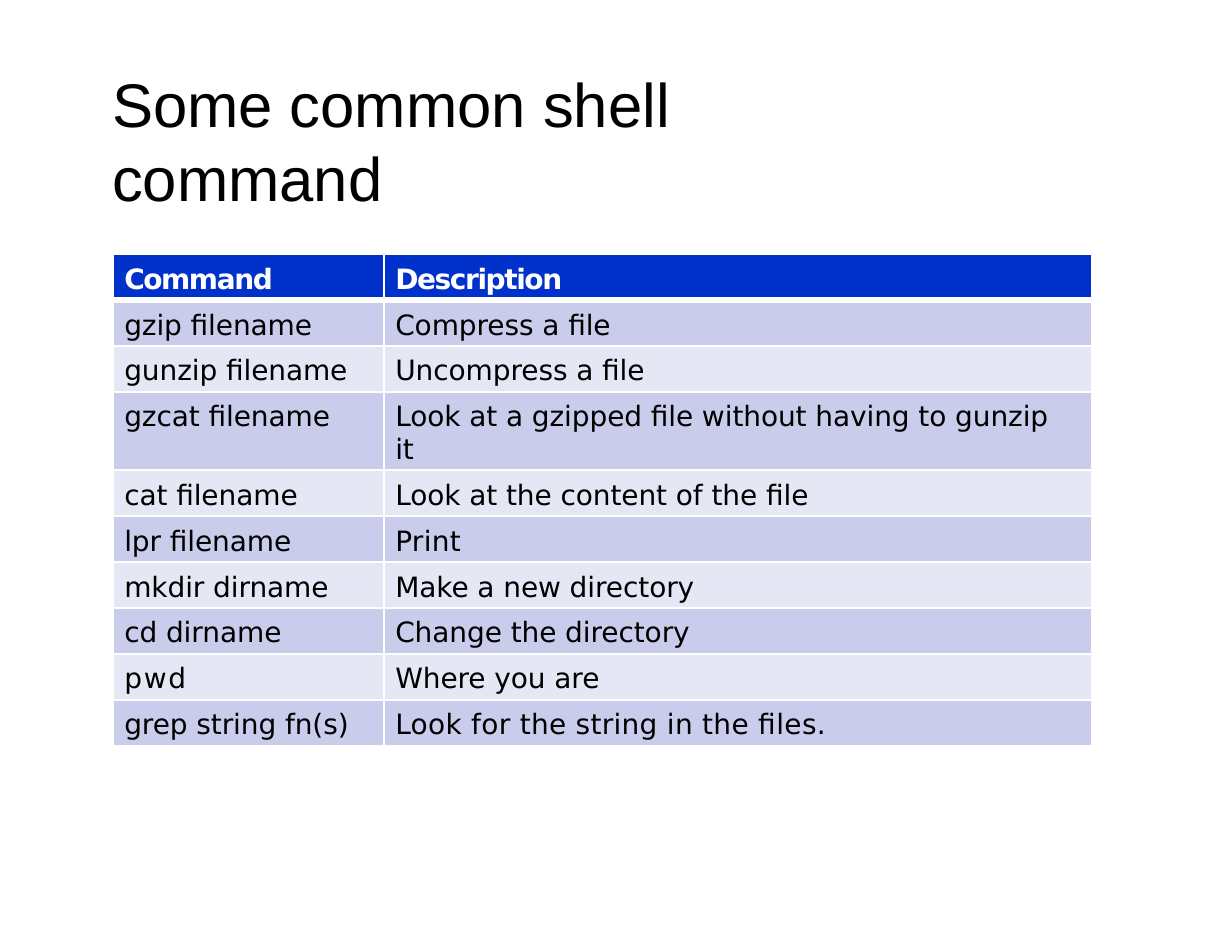
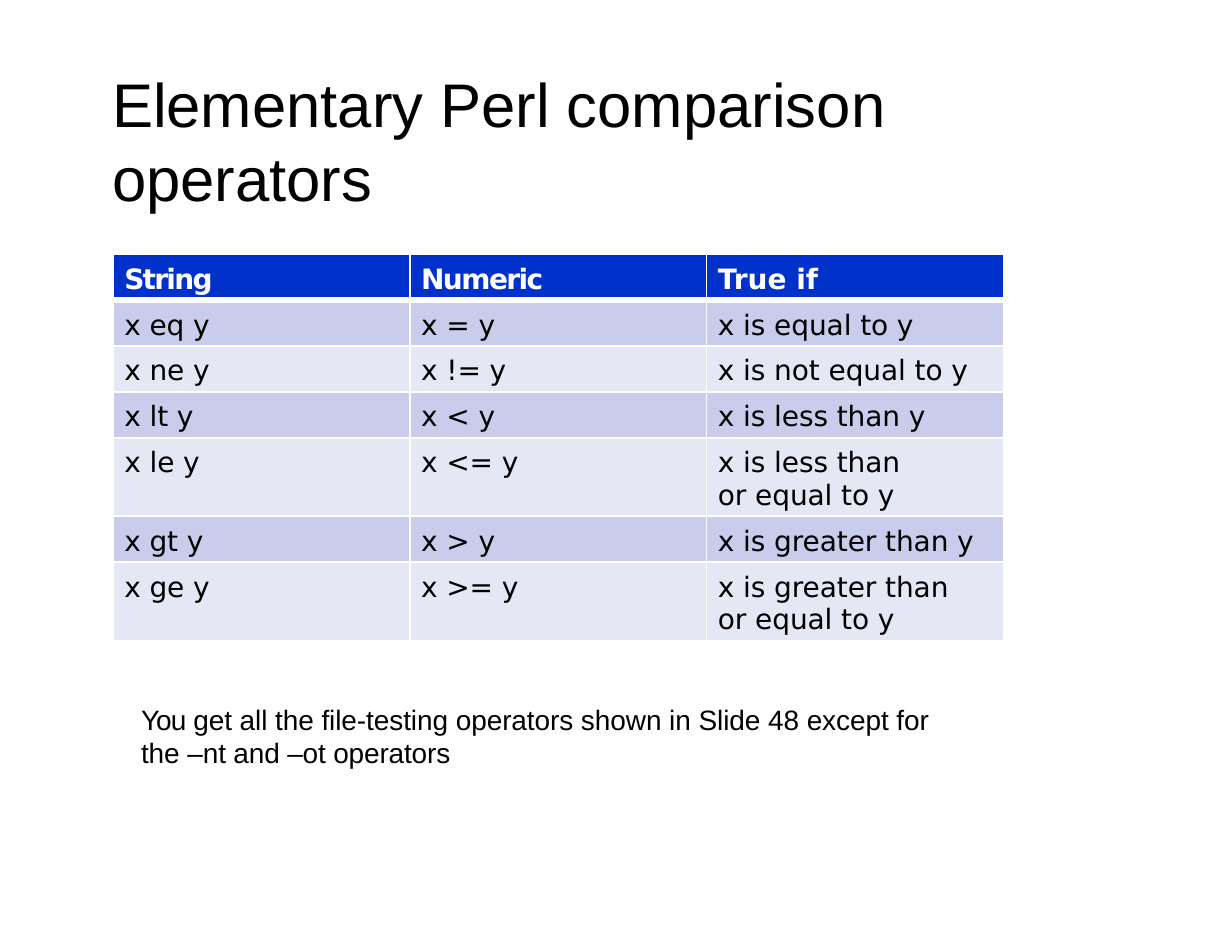
from lxml import etree
from pptx import Presentation
from pptx.dml.color import RGBColor
from pptx.enum.text import MSO_ANCHOR, MSO_AUTO_SIZE
from pptx.oxml.ns import qn
from pptx.util import Inches, Pt

BLACK = RGBColor(0x00, 0x00, 0x00)
WHITE = RGBColor(0xFF, 0xFF, 0xFF)
HEADER_BLUE = RGBColor(0x00, 0x32, 0xCB)
ROW_FILLS = (RGBColor(0xE6, 0xE7, 0xF5), RGBColor(0xCA, 0xCC, 0xEB))

TEXT_FONT = "Arial"
TABLE_FONT = "DejaVu Sans"
TITLE_SIZE = 39.6
BODY_SIZE = 18
LINE_WIDTH = 1.5
HEADER_LINE_WIDTH = 4.25
ROW_HEIGHT = 0.41
TALL_ROW_HEIGHT = 0.7
TABLE_LEFT, TABLE_TOP = 1.01, 2.27

COMMANDS = [
    ("Command", "Description"),
    ("gzip filename", "Compress a file"),
    ("gunzip filename", "Uncompress a file"),
    ("gzcat filename", "Look at a gzipped file without having to gunzip it"),
    ("cat filename", "Look at the content of the file"),
    ("lpr filename", "Print"),
    ("mkdir dirname", "Make a new directory"),
    ("cd dirname", "Change the directory"),
    ("pwd", "Where you are"),
    ("grep string fn(s)", "Look for the string in the files."),
]
OPERATORS = [
    ("String", "Numeric", "True if"),
    ("x eq y", "x = y", "x is equal to y"),
    ("x ne y", "x != y", "x is not equal to y"),
    ("x lt y", "x < y", "x is less than y"),
    ("x le y", "x <= y", "x is less than or equal to y"),
    ("x gt y", "x > y", "x is greater than y"),
    ("x ge y", "x >= y", "x is greater than or equal to y"),
]
# Letter spacing in points, for the cells that differ from the usual
LETTER_SPACING = {
    "Command": -0.9, "Description": -0.9, "String": -1.1, "Numeric": -1,
    "True if": 0, "pwd": 1.1, "Print": 0.2,
    "Look for the string in the files.": 0.2,
}
# Right margins in inches of the cells that take two lines
WRAP_MARGINS = {
    "Look at a gzipped file without having to gunzip it": 0.22,
    "x is less than or equal to y": 0.75,
    "x is greater than or equal to y": 0.35,
}


def add_run(paragraph, text, font_name, size, color=BLACK, bold=False, spacing=0):
    run = paragraph.add_run()
    run.text = text
    run.font.name = font_name
    run.font.size = Pt(size)
    run.font.bold = bold
    run.font.color.rgb = color
    if spacing:
        run.font._element.set("spc", str(round(spacing * 100)))


def add_text(slide, box, runs, size, anchor=MSO_ANCHOR.TOP):
    """Add a one-paragraph text box from (text, letter spacing) runs."""
    shape = slide.shapes.add_textbox(*(Inches(length) for length in box))
    frame = shape.text_frame
    frame.word_wrap = True
    frame.auto_size = MSO_AUTO_SIZE.SHAPE_TO_FIT_TEXT
    frame.vertical_anchor = anchor
    frame.margin_left = Inches(0.01)
    frame.margin_top = Inches(0.02)
    frame.margin_right = frame.margin_bottom = 0
    for text, spacing in runs:
        add_run(frame.paragraphs[0], text, TEXT_FONT, size, spacing=spacing)


def add_title(slide, text, width):
    add_text(slide, (0.99, 0.92, width, 0.63), [(text, 0)], TITLE_SIZE, MSO_ANCHOR.MIDDLE)


def set_borders(cell, left, right, top, bottom):
    properties = cell._tc.get_or_add_tcPr()
    for tag, width in (("a:lnL", left), ("a:lnR", right), ("a:lnT", top), ("a:lnB", bottom)):
        line = etree.SubElement(properties, qn(tag), w=str(Pt(width)))
        fill = etree.SubElement(line, qn("a:solidFill"))
        etree.SubElement(fill, qn("a:srgbClr"), val=str(WHITE))


def fill_cell(cell, text, is_header, fill_color):
    cell.fill.solid()
    cell.fill.fore_color.rgb = fill_color
    cell.margin_left = Inches(0.1)
    cell.margin_top = Inches(0.08)
    cell.margin_right = Inches(WRAP_MARGINS.get(text, 0))
    cell.margin_bottom = 0
    add_run(cell.text_frame.paragraphs[0], text, TABLE_FONT, BODY_SIZE,
            WHITE if is_header else BLACK, is_header, LETTER_SPACING.get(text, -0.06))


def add_banded_table(slide, left, top, column_widths, rows, vertical_lines):
    """Add a table; vertical_lines holds the line widths from left to right."""
    heights = [TALL_ROW_HEIGHT if any(text in WRAP_MARGINS for text in row) else ROW_HEIGHT
               for row in rows]
    table = slide.shapes.add_table(
        len(rows), len(column_widths), Inches(left), Inches(top),
        Inches(sum(column_widths)), Inches(sum(heights))).table
    for column, width in zip(table.columns, column_widths):
        column.width = Inches(width)
    for row_index, (row, height) in enumerate(zip(rows, heights)):
        table.rows[row_index].height = Inches(height)
        is_header = row_index == 0
        fill_color = HEADER_BLUE if is_header else ROW_FILLS[row_index % 2]
        top_line = HEADER_LINE_WIDTH if row_index == 1 else LINE_WIDTH
        bottom_line = HEADER_LINE_WIDTH if is_header else LINE_WIDTH
        for column_index, text in enumerate(row):
            cell = table.cell(row_index, column_index)
            set_borders(cell, vertical_lines[column_index],
                        vertical_lines[column_index + 1], top_line, bottom_line)
            fill_cell(cell, text, is_header, fill_color)


def add_slide(presentation):
    slide = presentation.slides.add_slide(presentation.slide_layouts[6])
    slide.background.fill.solid()
    slide.background.fill.fore_color.rgb = WHITE
    return slide


def build_commands_slide(presentation):
    slide = add_slide(presentation)
    add_title(slide, "Some common shell command", 6.51)
    add_banded_table(slide, TABLE_LEFT, TABLE_TOP, (2.42, 6.32), COMMANDS, (1.5, 1.5, 1))


def build_operators_slide(presentation):
    slide = add_slide(presentation)
    add_title(slide, "Elementary Perl comparison operators", 7.71)
    add_banded_table(slide, TABLE_LEFT, TABLE_TOP, [2.65] * 3, OPERATORS, (1.5, 1, 1, 1))
    note = [
        ("You ", -0.6),
        ("get all the file-testing operators shown in Slide 48 except for the ", -0.05),
        ("–nt and –ot operators", -0.1),
    ]
    add_text(slide, (1.25, 6.25, 7.13, 0.63), note, BODY_SIZE)


def main():
    presentation = Presentation()
    presentation.slide_width = Inches(11)
    presentation.slide_height = Inches(8.5)
    build_commands_slide(presentation)
    build_operators_slide(presentation)
    presentation.save("out.pptx")


if __name__ == "__main__":
    main()
